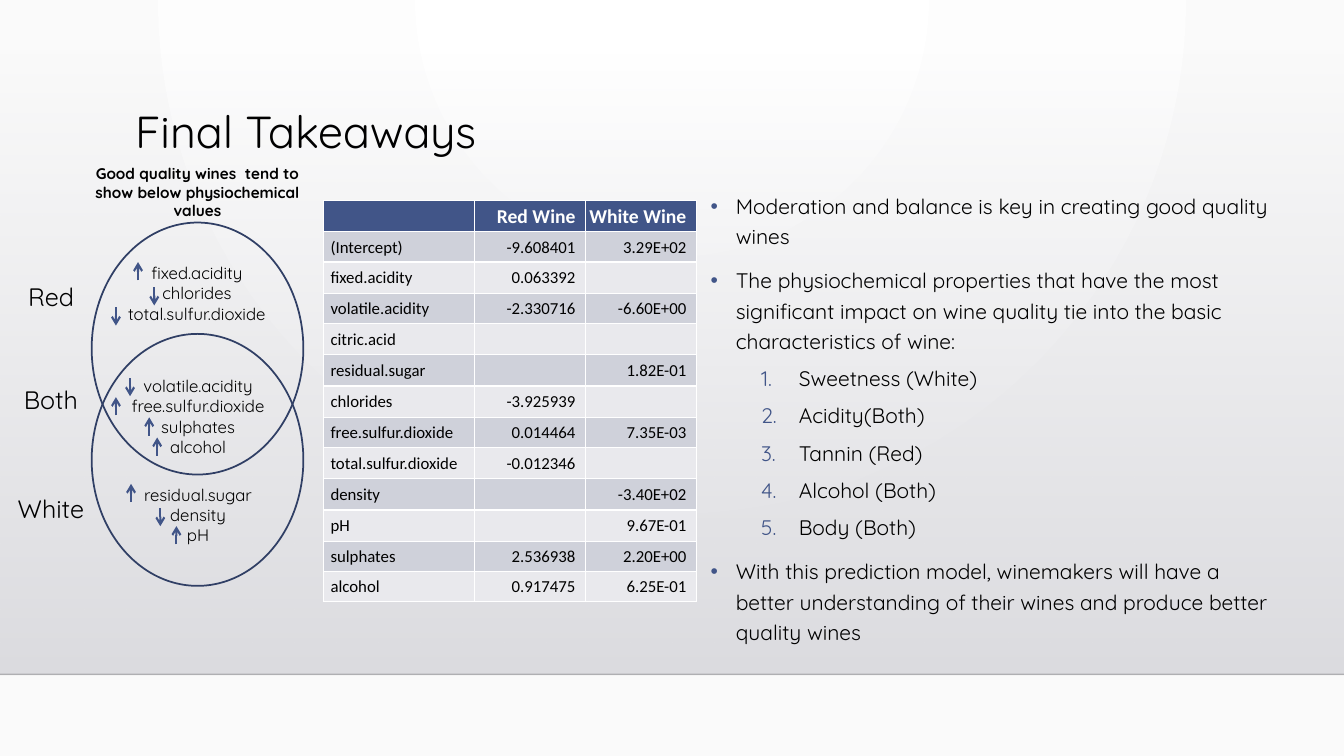
import pptx
import pptx.dml.color
import pptx.enum.shapes
import pptx.enum.text
import pptx.oxml
import pptx.oxml.ns
import pptx.util
from lxml import etree

Pt = pptx.util.Pt
qn = pptx.oxml.ns.qn
ALIGN = pptx.enum.text.PP_ALIGN
ANCHOR = pptx.enum.text.MSO_ANCHOR
SHAPE = pptx.enum.shapes.MSO_SHAPE
STRAIGHT = pptx.enum.shapes.MSO_CONNECTOR.STRAIGHT
BLUE = "415588"


def color(hex_string):
    return pptx.dml.color.RGBColor.from_string(hex_string)


def add_run(paragraph, text, size, font="Quicksand", hex_string="000000", bold=False):
    run = paragraph.add_run()
    run.text = text
    run.font.size = Pt(size)
    run.font.name = font
    run.font.bold = bold
    run.font.color.rgb = color(hex_string)


presentation = pptx.Presentation()
presentation.slide_width, presentation.slide_height = Pt(960), Pt(540)
slide = presentation.slides.add_slide(presentation.slide_layouts[1])
title, body = slide.placeholders[0], slide.placeholders[1]
connectors = []

# Background and shaded wall with its floor line
wall = slide.shapes.add_shape(SHAPE.RECTANGLE, 0, Pt(36.7), Pt(960), Pt(445))
wall.shadow.inherit = False
wall.line.fill.background()
floor = slide.shapes.add_connector(STRAIGHT, 0, Pt(481.7), Pt(960), Pt(481.7))
floor.line.width = Pt(1)
floor.line.color.rgb = color("000001")
floor_color = floor.line._ln.find(".//" + qn("a:srgbClr"))
etree.SubElement(floor_color, qn("a:alpha"), val="20000")
connectors.append(floor)
title.element.addprevious(wall.element)
title.element.addprevious(floor.element)

slide.background.fill.solid()
wall.fill.solid()
gradients = [
    (slide.element.find(".//" + qn("p:bgPr")), "FFFFFF", 100000, "FAFAFA",
     '<a:path path="circle"><a:fillToRect l="43000" t="0" r="43000" b="100000"/></a:path>'),
    (wall.element.spPr, "DCDCE0", 0, "DEDEE2", '<a:lin ang="5400000" scaled="0"/>'),
]
for parent, start, alpha, end, direction in gradients:
    gradient = pptx.oxml.parse_xml(
        '<a:gradFill xmlns:a="http://schemas.openxmlformats.org/drawingml/2006/main"'
        ' rotWithShape="1"><a:gsLst>'
        f'<a:gs pos="0"><a:srgbClr val="{start}"><a:alpha val="{alpha}"/></a:srgbClr></a:gs>'
        f'<a:gs pos="100000"><a:srgbClr val="{end}"/></a:gs></a:gsLst>{direction}</a:gradFill>')
    parent.replace(parent.find(qn("a:solidFill")), gradient)

# Title
title.left, title.top, title.width, title.height = Pt(89.3), Pt(74.9), Pt(756), Pt(82.8)
title.text_frame.vertical_anchor = ANCHOR.TOP
paragraph = title.text_frame.paragraphs[0]
paragraph.alignment = ALIGN.LEFT
paragraph.line_spacing = 0.9
add_run(paragraph, "Final Takeaways", 32)

# Takeaway list: level 0 has bullets, level 1 has numbers
takeaways = [
    (0, "Moderation and balance is key in creating good quality wines"),
    (0, "The physiochemical properties that have the most significant impact on "
        "wine quality tie into the basic characteristics of wine:"),
    (1, "Sweetness (White)"),
    (1, "Acidity(Both)"),
    (1, "Tannin (Red)"),
    (1, "Alcohol (Both)"),
    (1, "Body (Both)"),
    (0, "With this prediction model, winemakers will have a better understanding "
        "of their wines and produce better quality wines"),
]
body.left, body.top, body.width, body.height = Pt(500.4), Pt(131), Pt(416.2), Pt(332)
frame = body.text_frame
frame.auto_size = pptx.enum.text.MSO_AUTO_SIZE.NONE
frame.vertical_anchor = ANCHOR.TOP
for index, (level, text) in enumerate(takeaways):
    paragraph = frame.add_paragraph() if index else frame.paragraphs[0]
    paragraph.level = level
    paragraph.line_spacing = 1.2
    paragraph.space_before = Pt((10, 5)[level])
    properties = paragraph._p.get_or_add_pPr()
    properties.set("marL", str(Pt((18, 63)[level])))
    properties.set("indent", str(-Pt((18, 27)[level])))
    bullet_color = etree.SubElement(properties, qn("a:buClr"))
    etree.SubElement(bullet_color, qn("a:srgbClr"), val=BLUE)
    if level:
        etree.SubElement(properties, qn("a:buFont"), typeface="+mj-lt")
        etree.SubElement(properties, qn("a:buAutoNum"), type="arabicPeriod")
    else:
        etree.SubElement(properties, qn("a:buFont"), typeface="Arial")
        etree.SubElement(properties, qn("a:buChar"), char="\u2022")
    add_run(paragraph, text, 15)

# Overlapping circles
for top in (159, 238.5):
    circle = slide.shapes.add_shape(SHAPE.OVAL, Pt(65.5), Pt(top), Pt(151.2), Pt(180))
    circle.shadow.inherit = False
    circle.fill.background()
    circle.line.width = Pt(1.25)
    circle.line.color.rgb = color("303F65")

# Labels and heading of the circles: text, left, top, width, height, size, bold
labels = [
    ("Red", 2.2, 197.3, 68.4, 29, 18, False),
    ("White", 2.2, 348.5, 68.4, 29, 18, False),
    ("Both", 2.2, 270.7, 68.4, 29, 18, False),
    ("Good quality wines  tend to show below physiochemical values",
     51.1, 113.8, 180, 47.5, 11, True),
]
for text, left, top, width, height, size, bold in labels:
    label = slide.shapes.add_textbox(Pt(left), Pt(top), Pt(width), Pt(height))
    label.text_frame.word_wrap = True
    paragraph = label.text_frame.paragraphs[0]
    paragraph.alignment = ALIGN.CENTER
    add_run(paragraph, text, size, bold=bold)

# Properties in each region: name, direction, arrow x, arrow top
regions = [
    (77, 184.3, 127.4, [("fixed.acidity", "up", 98.6, 187.2),
                        ("chlorides", "down", 110.2, 205.2),
                        ("total.sulfur.dioxide", "down", 82.8, 219.6)]),
    (82.8, 265, 117.4, [("volatile.acidity", "down", 92.9, 270),
                        ("free.sulfur.dioxide", "up", 82.8, 283.7),
                        ("sulphates", "up", 106.6, 298.1),
                        ("alcohol", "up", 112.3, 312.5)]),
    (82.8, 342.7, 117.4, [("residual.sugar", "up", 93.6, 345.6),
                          ("density", "down", 114.5, 362.9),
                          ("pH", "up", 126, 375.8)]),
]
for left, top, width, wine_properties in regions:
    group = slide.shapes.add_group_shape()
    height = 7.2 + 14.6 * len(wine_properties)
    names = group.shapes.add_textbox(Pt(left), Pt(top), Pt(width), Pt(height))
    names.text_frame.word_wrap = True
    for index, (name, direction, x, arrow_top) in enumerate(wine_properties):
        paragraph = names.text_frame.add_paragraph() if index else names.text_frame.paragraphs[0]
        paragraph.alignment = ALIGN.CENTER
        add_run(paragraph, name, 12)
        start, end = arrow_top, arrow_top + 13
        if direction == "up":
            start, end = end, start
        arrow = group.shapes.add_connector(STRAIGHT, Pt(x), Pt(start), Pt(x), Pt(end))
        arrow.line.width = Pt(1.5)
        arrow.line.color.rgb = color(BLUE)
        etree.SubElement(arrow.line._ln, qn("a:tailEnd"), type="arrow")
        connectors.append(arrow)

for connector in connectors:
    etree.SubElement(connector.element.spPr, qn("a:effectLst"))

# Coefficient table
coefficients = [
    ("", "Red Wine", "White Wine"),
    ("(Intercept)", "-9.608401", "3.29E+02"),
    ("fixed.acidity", "0.063392", ""),
    ("volatile.acidity", "-2.330716", "-6.60E+00"),
    ("citric.acid", "", ""),
    ("residual.sugar", "", "1.82E-01"),
    ("chlorides", "-3.925939", ""),
    ("free.sulfur.dioxide", "0.014464", "7.35E-03"),
    ("total.sulfur.dioxide", "-0.012346", ""),
    ("density", "", "-3.40E+02"),
    ("pH", "", "9.67E-01"),
    ("sulphates", "2.536938", "2.20E+00"),
    ("alcohol", "0.917475", "6.25E-01"),
]
table = slide.shapes.add_table(len(coefficients), 3, Pt(231.1), Pt(143.3),
                               Pt(266.4), Pt(280.8)).table
for column, width in zip(table.columns, (108, 79.2, 79.2)):
    column.width = Pt(width)
for row, values in enumerate(coefficients):
    table.rows[row].height = Pt(21.6)
    header = row == 0
    for column, value in enumerate(values):
        cell = table.cell(row, column)
        cell.fill.solid()
        cell.fill.fore_color.rgb = color(BLUE if header else ("E9E9ED", "CFD1DA")[row % 2])
        cell.vertical_anchor = ANCHOR.MIDDLE
        cell.margin_left = Pt(0.7 if column else 5)
        cell.margin_right = Pt(7.2 if column else 0.7)
        cell.margin_top, cell.margin_bottom = Pt(0.7), 0
        paragraph = cell.text_frame.paragraphs[0]
        paragraph.alignment = ALIGN.RIGHT if column else ALIGN.LEFT
        add_run(paragraph, value, 14 if header else 12, "Calibri",
                "FFFFFF" if header else "000000", header)

presentation.save("out.pptx")
